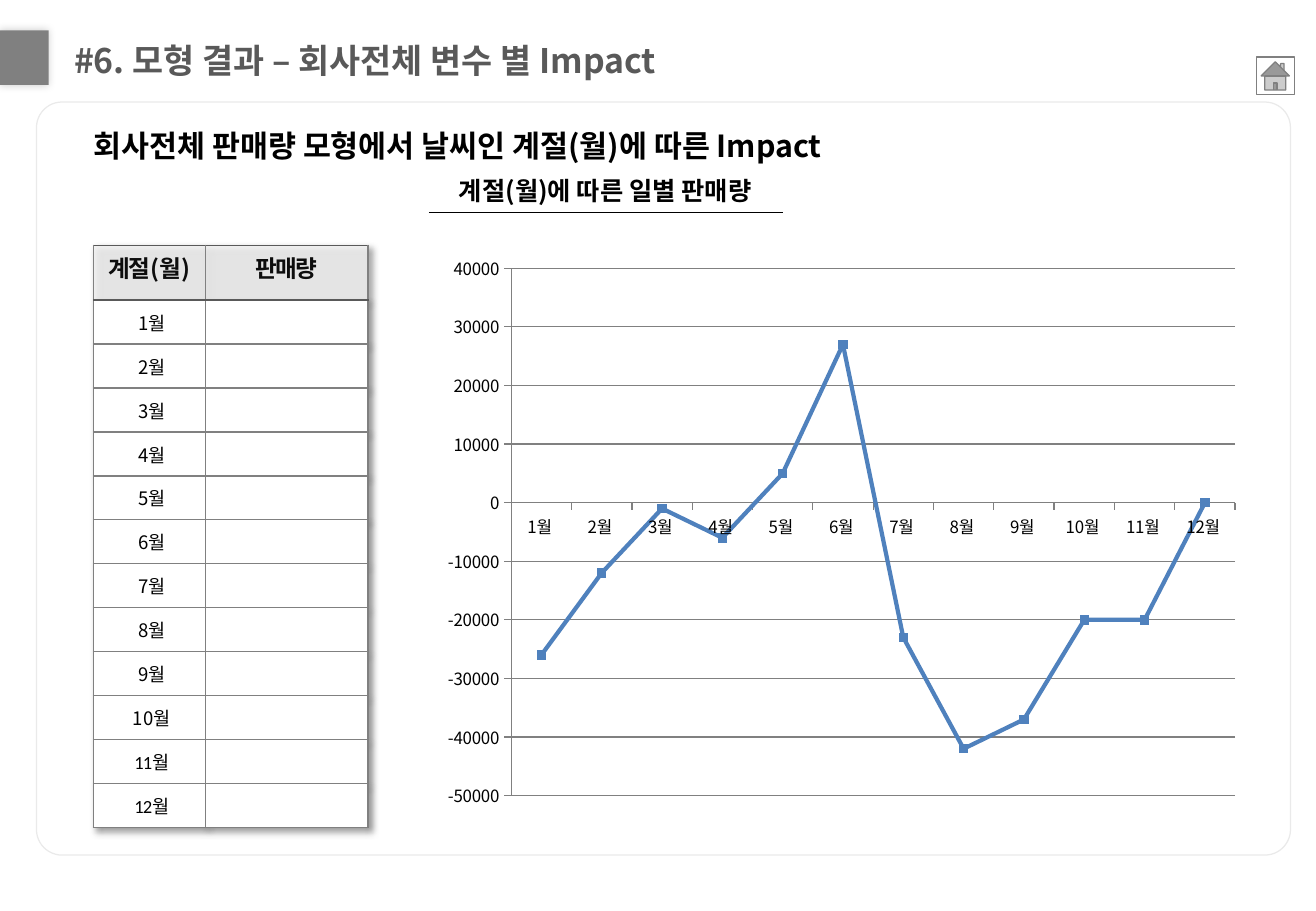
import dataclasses

import pptx
import pptx.chart.data
import pptx.dml.color
import pptx.enum.chart
import pptx.enum.shapes
import pptx.enum.text
import pptx.oxml
import pptx.oxml.ns
import pptx.util
from lxml import etree

qn = pptx.oxml.ns.qn
Pt = pptx.util.Pt
ALIGN = pptx.enum.text.PP_ALIGN
MIDDLE = pptx.enum.text.MSO_ANCHOR.MIDDLE
SHAPE = pptx.enum.shapes.MSO_SHAPE


@dataclasses.dataclass(frozen=True)
class Theme:
    font: str = "Noto Sans CJK KR"
    digit_font: str = "Calibri"
    white: str = "FFFFFF"
    black: str = "000000"
    gray: str = "808080"
    title: str = "595959"
    panel_line: str = "EAEAEA"
    header_fill: str = "F2F2F2"
    header_text: str = "0D0D0D"
    series: str = "4F81BD"
    title_size: int = 20
    heading_size: int = 18
    caption_size: int = 15
    header_size: int = 14
    month_size: int = 11
    chart_size: int = 10


THEME = Theme()
GRID_PER_INCH = 10
MONTHS = [f"{month}월" for month in range(1, 13)]
SALES_IMPACT = [-26000, -12000, -1000, -6000, 5000, 27000,
                -23000, -42000, -37000, -20000, -20000, 0]


def grid(*cells):
    return [pptx.util.Inches(cell / GRID_PER_INCH) for cell in cells]


def rgb(color):
    return pptx.dml.color.RGBColor.from_string(color)


def paint(fill, color):
    fill.solid()
    fill.fore_color.rgb = rgb(color)


def stroke(line, color, width=0.75):
    paint(line.fill, color)
    line.width = Pt(width)


def style_run(run, size, color, bold=False, font=THEME.font, spacing=0):
    run.font.size = Pt(size)
    run.font.bold = bold
    run.font.name = font
    run.font.color.rgb = rgb(color)
    properties = run._r.get_or_add_rPr()
    properties.set("spc", str(round(spacing * 100)))
    etree.SubElement(properties, qn("a:ea"), typeface=THEME.font)


def add_shadow(parent, blur, distance, alpha):
    for empty in parent.findall(qn("a:effectLst")):
        parent.remove(empty)
    effects = etree.SubElement(parent, qn("a:effectLst"))
    shadow = etree.SubElement(effects, qn("a:outerShdw"), blurRad=str(Pt(blur)),
                              dist=str(Pt(distance)), dir="2700000", algn="tl", rotWithShape="0")
    color = etree.SubElement(shadow, qn("a:srgbClr"), val=THEME.black)
    etree.SubElement(color, qn("a:alpha"), val=str(alpha * 1000))


def add_block(slide, kind, place, fill, line=None):
    block = slide.shapes.add_shape(kind, *grid(*place))
    block.shadow.inherit = False
    paint(block.fill, fill)
    if line:
        stroke(block.line, line)
    else:
        block.line.fill.background()
    return block


def add_text(slide, place, text, size, color, align=ALIGN.LEFT, inset=0, wrap=True, spacing=1.0):
    frame = slide.shapes.add_textbox(*grid(*place)).text_frame
    frame.word_wrap = wrap
    frame.auto_size = pptx.enum.text.MSO_AUTO_SIZE.SHAPE_TO_FIT_TEXT
    frame.vertical_anchor = MIDDLE
    frame.margin_left, frame.margin_right = grid(inset, inset)
    frame.margin_top, frame.margin_bottom = grid(inset / 2, inset / 2)
    frame.text = text
    paragraph = frame.paragraphs[0]
    paragraph.alignment = align
    paragraph.line_spacing = spacing
    style_run(paragraph.runs[0], size, color, bold=True)


def add_rule(slide, left, right, row):
    rule = slide.shapes.add_connector(pptx.enum.shapes.MSO_CONNECTOR.STRAIGHT,
                                      *grid(left, row, right, row))
    stroke(rule.line, THEME.black)
    etree.SubElement(rule._element.spPr, qn("a:effectLst"))


def set_borders(cell, top, bottom):
    properties = cell._tc.get_or_add_tcPr()
    sides = {"a:lnL": THEME.gray, "a:lnR": THEME.gray, "a:lnT": top, "a:lnB": bottom}
    for index, (side, color) in enumerate(sides.items()):
        border = etree.Element(qn(side), w=str(Pt(1)))
        fill = etree.SubElement(border, qn("a:solidFill"))
        etree.SubElement(fill, qn("a:srgbClr"), val=color)
        properties.insert(index, border)


def prepare_cell(cell, fill, left_inset):
    cell.vertical_anchor = MIDDLE
    cell.margin_left, cell.margin_right = grid(left_inset, 0.4)
    cell.margin_top, cell.margin_bottom = grid(0.3, 0.3)
    paint(cell.fill, fill)
    paragraph = cell.text_frame.paragraphs[0]
    paragraph.alignment = ALIGN.CENTER
    return paragraph


def fill_header(cell, label):
    paragraph = prepare_cell(cell, THEME.header_fill, 0.4)
    paragraph.line_spacing = Pt(14)
    paragraph.text = label
    style_run(paragraph.runs[0], THEME.header_size, THEME.header_text, bold=True, spacing=-1)
    color = cell._tc.tcPr.find(".//" + qn("a:srgbClr"))
    etree.SubElement(color, qn("a:alpha"), val="80000")
    set_borders(cell, THEME.title, THEME.title)


def fill_month(cell, month):
    paragraph = prepare_cell(cell, THEME.white, 0.8)
    narrow = month in MONTHS[-2:]
    parts = [month[:-1], month[-1]] if narrow else [month]
    for part in parts:
        run = paragraph.add_run()
        run.text = part
        digits = narrow and part.isdigit()
        style_run(run, THEME.month_size, THEME.black,
                  font=THEME.digit_font if digits else THEME.font,
                  spacing=-0.5 if digits else 0)


def add_month_table(slide, place, headers, columns, header_row, month_row):
    table = slide.shapes.add_table(len(MONTHS) + 1, len(columns), *grid(*place)).table
    table.first_row = table.horz_banding = False
    for column, width in zip(table.columns, grid(*columns)):
        column.width = width
    for row, height in zip(table.rows, grid(header_row, *[month_row] * len(MONTHS))):
        row.height = height
    for index, label in enumerate(headers):
        fill_header(table.cell(0, index), label)
    for index, month in enumerate(MONTHS, start=1):
        sales = prepare_cell(table.cell(index, 1), THEME.white, 0.8)
        etree.SubElement(sales._p, qn("a:endParaRPr"), sz=str(THEME.month_size * 100))
        fill_month(table.cell(index, 0), month)
        for cell in table.rows[index].cells:
            set_borders(cell, THEME.title if index == 1 else THEME.gray, THEME.gray)
    properties = table._tbl.tblPr
    add_shadow(properties, 4, 3, 40)
    properties.insert(0, properties.find(qn("a:effectLst")))


def place_plot(chart, **shares):
    plot_area = chart._chartSpace.find(".//" + qn("c:plotArea"))
    for automatic in plot_area.findall(qn("c:layout")):
        plot_area.remove(automatic)
    layout = etree.Element(qn("c:layout"))
    manual = etree.SubElement(layout, qn("c:manualLayout"))
    settings = {"layoutTarget": "inner", "xMode": "edge", "yMode": "edge", **shares}
    for name, value in settings.items():
        etree.SubElement(manual, qn("c:" + name), val=str(value))
    plot_area.insert(0, layout)


def add_impact_chart(slide, place):
    data = pptx.chart.data.CategoryChartData()
    data.categories = [month + " " for month in MONTHS]
    data.add_series("Series 1", SALES_IMPACT)
    kinds = pptx.enum.chart
    chart = slide.shapes.add_chart(kinds.XL_CHART_TYPE.LINE_MARKERS, *grid(*place), data).chart
    chart.has_legend = chart.has_title = False
    chart.font.size = Pt(THEME.chart_size)
    chart.font.name = THEME.font
    chart.font.color.rgb = rgb(THEME.black)
    for properties in chart._chartSpace.iter(qn("a:defRPr")):
        etree.SubElement(properties, qn("a:ea"), typeface=THEME.font)
    for axis, mark in ((chart.category_axis, kinds.XL_TICK_MARK.OUTSIDE),
                       (chart.value_axis, kinds.XL_TICK_MARK.OUTSIDE)):
        axis.major_tick_mark = mark
        stroke(axis.format.line, THEME.gray)
    chart.category_axis.has_major_gridlines = False
    values = chart.value_axis
    values.minimum_scale, values.maximum_scale, values.major_unit = -50000, 40000, 10000
    values.has_major_gridlines = True
    stroke(values.major_gridlines.format.line, THEME.gray)
    chart.plots[0].vary_by_categories = False
    impact = chart.plots[0].series[0]
    impact.smooth = False
    stroke(impact.format.line, THEME.series, 2.5)
    impact.marker.style = kinds.XL_MARKER_STYLE.SQUARE
    impact.marker.size = 5
    paint(impact.marker.format.fill, THEME.series)
    stroke(impact.marker.format.line, THEME.series)
    place_plot(chart, x=0.1, y=0.04, w=0.88, h=0.92)


def main():
    deck = pptx.Presentation()
    deck.slide_width, deck.slide_height = grid(108.3, 75)
    slide = deck.slides.add_slide(deck.slide_layouts[6])
    panel = add_block(slide, SHAPE.ROUNDED_RECTANGLE, (3, 8.4, 103.2, 62),
                      THEME.white, THEME.panel_line)
    panel.adjustments[0] = 0.034
    add_month_table(slide, (7.7, 20.2, 22.6, 47.2), ["계절(월)", "판매량"], (9.2, 13.4), 4.5, 3.62)
    add_text(slide, (33.4, 13.9, 32.8, 3.5), "계절(월)에 따른 일별 판매량",
             THEME.caption_size, THEME.black, ALIGN.CENTER, inset=1)
    add_rule(slide, 35.3, 64.4, 17.5)
    add_impact_chart(slide, (35.3, 20.2, 67.7, 47.2))
    add_text(slide, (7.7, 10.8, 96.9, 2.7), "회사전체 판매량 모형에서 날씨인 계절(월)에 따른 Impact",
             THEME.heading_size, THEME.black, spacing=0.9)
    title_mark = add_block(slide, SHAPE.RECTANGLE, (0, 2.5, 4, 4.5), THEME.gray)
    add_shadow(title_mark._element.spPr, 5, 0, 20)
    add_text(slide, (6.1, 3.2, 52.4, 3.4), "#6. 모형 결과 – 회사전체 변수 별 Impact",
             THEME.title_size, THEME.title, wrap=False)
    add_block(slide, SHAPE.ACTION_BUTTON_HOME, (103.4, 4.7, 3.1, 3.1), THEME.white, THEME.gray)
    deck.save("out.pptx")


if __name__ == "__main__":
    main()
